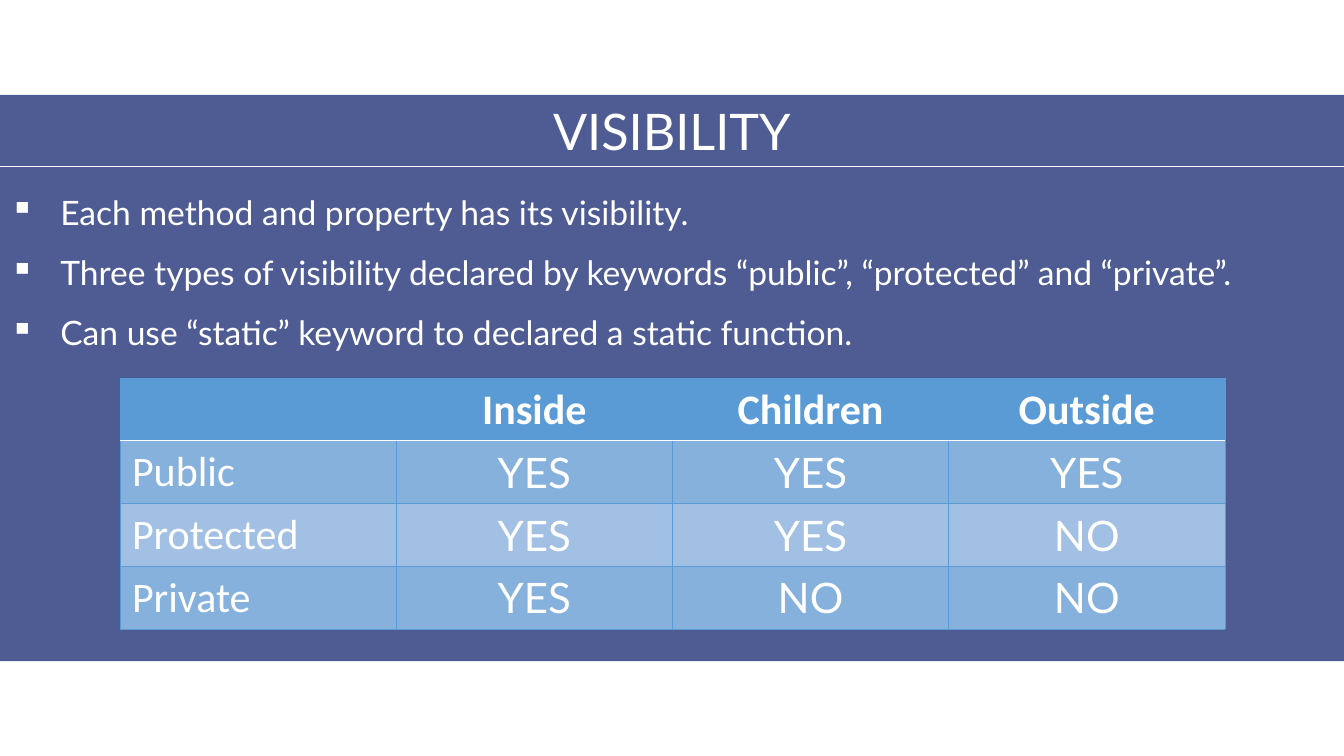
import pptx
import pptx.util
import pptx.dml.color
import pptx.enum.shapes
import pptx.enum.text
import pptx.oxml
import pptx.oxml.ns
import lxml.etree

Inches = pptx.util.Inches
Pt = pptx.util.Pt
RGBColor = pptx.dml.color.RGBColor
ALIGN = pptx.enum.text.PP_ALIGN
qn = pptx.oxml.ns.qn

WHITE = RGBColor(0xFF, 0xFF, 0xFF)
INDIGO = RGBColor(0x4F, 0x5B, 0x93)
BLUE = RGBColor(0x5B, 0x9B, 0xD5)
DARK_BAND = RGBColor(0x86, 0xB1, 0xDC)
LIGHT_BAND = RGBColor(0xA2, 0xBF, 0xE4)

SLIDE_WIDTH, SLIDE_HEIGHT = 13.33, 7.5
PANEL_TOP, PANEL_HEIGHT, TITLE_HEIGHT = 0.94, 5.62, 0.71

BULLETS = [
    "Each method and property has its visibility.",
    "Three types of visibility declared by keywords “public”, “protected” and “private”.",
    "Can use “static” keyword to declared a static function.",
]
VISIBILITY = [
    ["", "Inside", "Children", "Outside"],
    ["Public", "YES", "YES", "YES"],
    ["Protected", "YES", "YES", "NO"],
    ["Private", "YES", "NO", "NO"],
]


def style_font(paragraph, size, name="Lato", bold=False):
    paragraph.font.size = Pt(size)
    paragraph.font.name = name
    paragraph.font.bold = bold
    paragraph.font.color.rgb = WHITE


def add_panel(slide, left, top, width, height):
    panel = slide.shapes.add_shape(
        pptx.enum.shapes.MSO_SHAPE.RECTANGLE,
        Inches(left), Inches(top), Inches(width), Inches(height))
    panel.shadow.inherit = False
    panel.fill.solid()
    panel.fill.fore_color.rgb = INDIGO
    panel.line.fill.background()


def add_title(slide, left, top, width, height):
    # Heading centred in the band
    title_width = 2.63
    title = slide.shapes.add_textbox(
        Inches(left + (width - title_width) / 2), Inches(top),
        Inches(title_width), Inches(height))
    title.text_frame.word_wrap = False
    paragraph = title.text_frame.paragraphs[0]
    paragraph.text = "VISIBILITY"
    paragraph.alignment = ALIGN.CENTER
    style_font(paragraph, 36)

    # Rule under the heading
    rule = slide.shapes.add_connector(
        pptx.enum.shapes.MSO_CONNECTOR.STRAIGHT,
        Inches(left), Inches(top + height), Inches(left + width), Inches(top + height))
    rule.line.color.rgb = WHITE
    rule.line.width = Pt(0.5)
    lxml.etree.SubElement(rule._element.spPr, qn("a:effectLst"))


def add_bullets(slide, left, top, width, height):
    box = slide.shapes.add_textbox(
        Inches(left), Inches(top), Inches(width), Inches(height))
    frame = box.text_frame
    frame.word_wrap = True
    for index, text in enumerate(BULLETS):
        paragraph = frame.add_paragraph() if index else frame.paragraphs[0]
        paragraph.text = text
        paragraph.line_spacing = 1.5
        style_font(paragraph, 24)
        properties = paragraph._p.get_or_add_pPr()
        properties.set("marL", str(Inches(0.5)))
        properties.set("indent", str(-Inches(0.5)))
        bullet = pptx.oxml.parse_xml(
            f'<a:buChar {pptx.oxml.ns.nsdecls("a")} char="▪"/>')
        properties.find(qn("a:defRPr")).addprevious(bullet)


def set_borders(cell, row):
    """Blue edges all round, with a white line below the header."""
    white_side = {0: "B", 1: "T"}.get(row)
    for index, side in enumerate("LRTB"):
        color, width = (WHITE, 1) if side == white_side else (BLUE, 0.5)
        border = pptx.oxml.parse_xml(
            f'<a:ln{side} {pptx.oxml.ns.nsdecls("a")} w="{Pt(width)}">'
            f'<a:solidFill><a:srgbClr val="{color}"/></a:solidFill></a:ln{side}>')
        cell._tc.get_or_add_tcPr().insert(index, border)


def add_visibility_table(slide, left, top, width, height):
    rows, columns = len(VISIBILITY), len(VISIBILITY[0])
    table = slide.shapes.add_table(
        rows, columns, Inches(left), Inches(top), Inches(width), Inches(height)).table
    table.first_row = True
    table.horz_banding = False
    for row, values in enumerate(VISIBILITY):
        for column, text in enumerate(values):
            cell = table.cell(row, column)
            cell.margin_left = cell.margin_right = Inches(0.12)
            cell.margin_top = cell.margin_bottom = Inches(0.06)
            cell.fill.solid()
            cell.fill.fore_color.rgb = (
                BLUE if row == 0 else DARK_BAND if row % 2 else LIGHT_BAND)
            set_borders(cell, row)
            paragraph = cell.text_frame.paragraphs[0]
            paragraph.text = text
            is_label = row == 0 or column == 0
            paragraph.alignment = ALIGN.CENTER if column else ALIGN.JUSTIFY
            style_font(paragraph, 30, "Calibri" if is_label else "Lato", row == 0)


def main():
    presentation = pptx.Presentation()
    presentation.slide_width = Inches(SLIDE_WIDTH)
    presentation.slide_height = Inches(SLIDE_HEIGHT)
    slide = presentation.slides.add_slide(presentation.slide_layouts[6])

    add_panel(slide, 0, PANEL_TOP, SLIDE_WIDTH, PANEL_HEIGHT)
    add_title(slide, 0, PANEL_TOP, SLIDE_WIDTH, TITLE_HEIGHT)
    add_visibility_table(slide, 1.19, 3.75, 10.96, 2.49)
    add_bullets(slide, 0, PANEL_TOP + TITLE_HEIGHT, SLIDE_WIDTH, 1.84)

    presentation.save("out.pptx")


if __name__ == "__main__":
    main()
